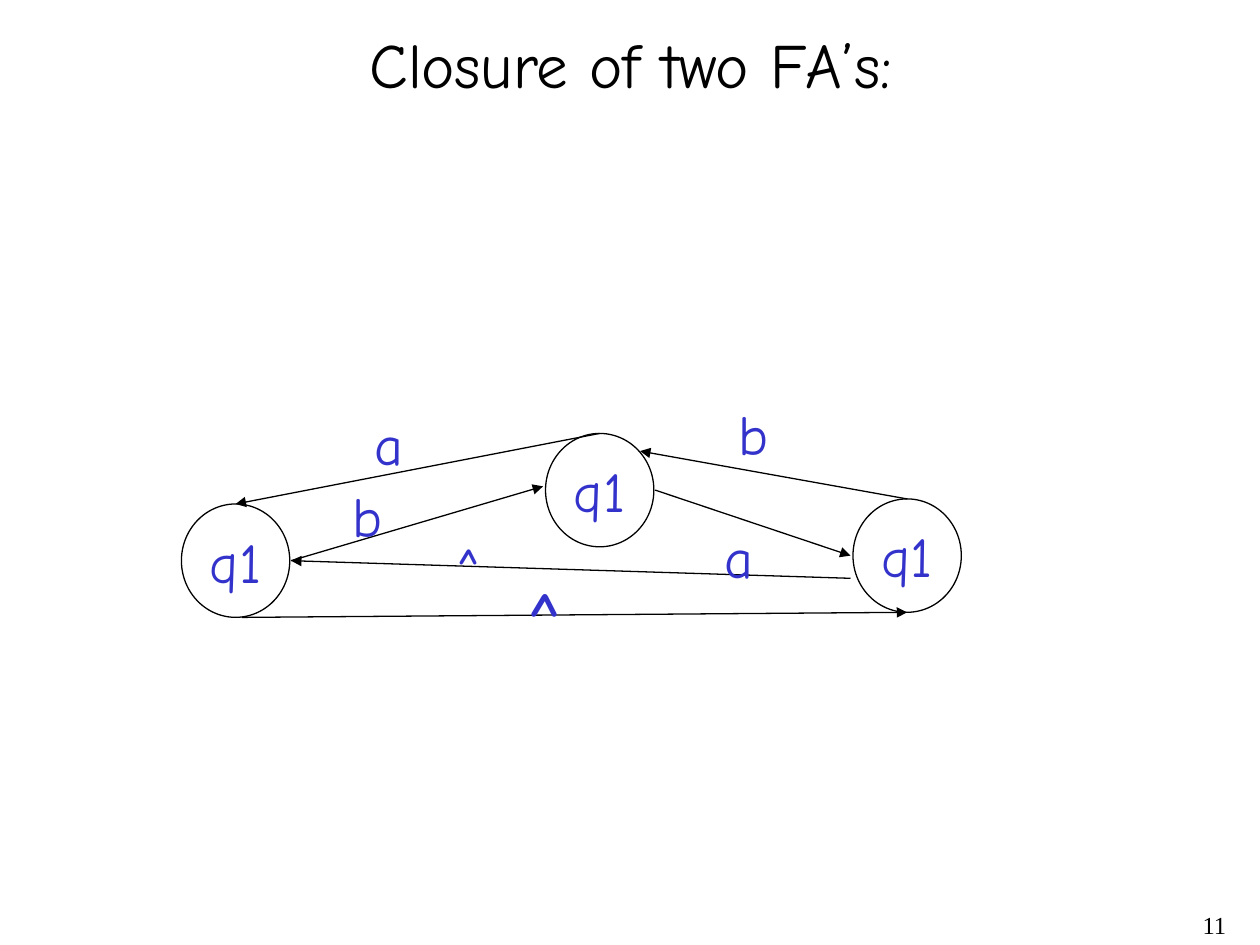
from lxml.etree import SubElement
from pptx import Presentation
from pptx.dml.color import RGBColor
from pptx.enum.shapes import MSO_CONNECTOR, MSO_SHAPE
from pptx.enum.text import MSO_ANCHOR, PP_ALIGN
from pptx.oxml.ns import qn
from pptx.util import Pt

PX = 9144  # 100 px to the inch
COLORS = {"ink": "000000", "label": "3333CC"}
FONT = "Comic Neue"


def write(frame, text, size, color, align, font=FONT):
    paragraph = frame.paragraphs[0]
    paragraph.text = text
    paragraph.alignment = align
    paragraph.font.size = Pt(size)
    paragraph.font.name = font
    paragraph.font.color.rgb = RGBColor.from_string(COLORS[color])


def add_text(left, top, width, height, *style):
    box = slide.shapes.add_textbox(left * PX, top * PX, width * PX, height * PX)
    box.text_frame.word_wrap = True
    write(box.text_frame, *style)


presentation = Presentation()
presentation.slide_width = 1000 * PX
presentation.slide_height = 750 * PX
slide = presentation.slides.add_slide(presentation.slide_layouts[5])

# Title
title = slide.shapes.title
title.left, title.top, title.width, title.height = 17 * PX, 17 * PX, 967 * PX, 67 * PX
title.text_frame.vertical_anchor = MSO_ANCHOR.MIDDLE
write(title.text_frame, "Closure of two FA’s:", 36, "ink", PP_ALIGN.CENTER)

# Slide number
add_text(775, 717, 208, 33, "11", 14, "ink", PP_ALIGN.RIGHT, "Times New Roman")

# States
states = {}
for name, left, top in [("left", 144, 400), ("middle", 433, 344), ("right", 677, 396)]:
    state = slide.shapes.add_shape(
        MSO_SHAPE.OVAL, left * PX, top * PX, 86 * PX, 90 * PX)
    state.shadow.inherit = False
    state.fill.background()
    state.line.color.rgb = RGBColor.from_string(COLORS["ink"])
    state.line.width = Pt(0.75)
    state.text_frame.word_wrap = False
    state.text_frame.vertical_anchor = MSO_ANCHOR.MIDDLE
    write(state.text_frame, "q1", 32, "label", PP_ALIGN.CENTER)
    states[name] = state

# Transitions: start, end, and the states whose tops they join
transitions = [
    ((231, 445), (431, 386), None, None),
    ((476, 344), (187, 400), "middle", "left"),
    ((720, 396), (508, 358), "right", None),
    ((192, 490), (720, 486), None, None),
    ((675, 459), (231, 445), None, None),
    ((520, 389), (675, 441), None, None),
]
for (x1, y1), (x2, y2), source, target in transitions:
    arrow = slide.shapes.add_connector(
        MSO_CONNECTOR.STRAIGHT, x1 * PX, y1 * PX, x2 * PX, y2 * PX)
    if source:
        arrow.begin_connect(states[source], 0)
    if target:
        arrow.end_connect(states[target], 0)
    arrow.line.color.rgb = RGBColor.from_string(COLORS["ink"])
    arrow.line.width = Pt(0.75)
    SubElement(arrow.line._get_or_add_ln(), qn("a:tailEnd"), type="triangle")
    SubElement(arrow._element.spPr, qn("a:effectLst"))

# Transition labels
for text, left, top in [("a", 287, 320), ("b", 270, 377), ("b", 576, 312),
                        ("a", 565, 410), ("^", 351, 416)]:
    add_text(left, top, 58, 64, text, 32, "label", PP_ALIGN.LEFT)
add_text(406, 444, 83, 90, "^", 48, "label", PP_ALIGN.LEFT)

presentation.save("out.pptx")
